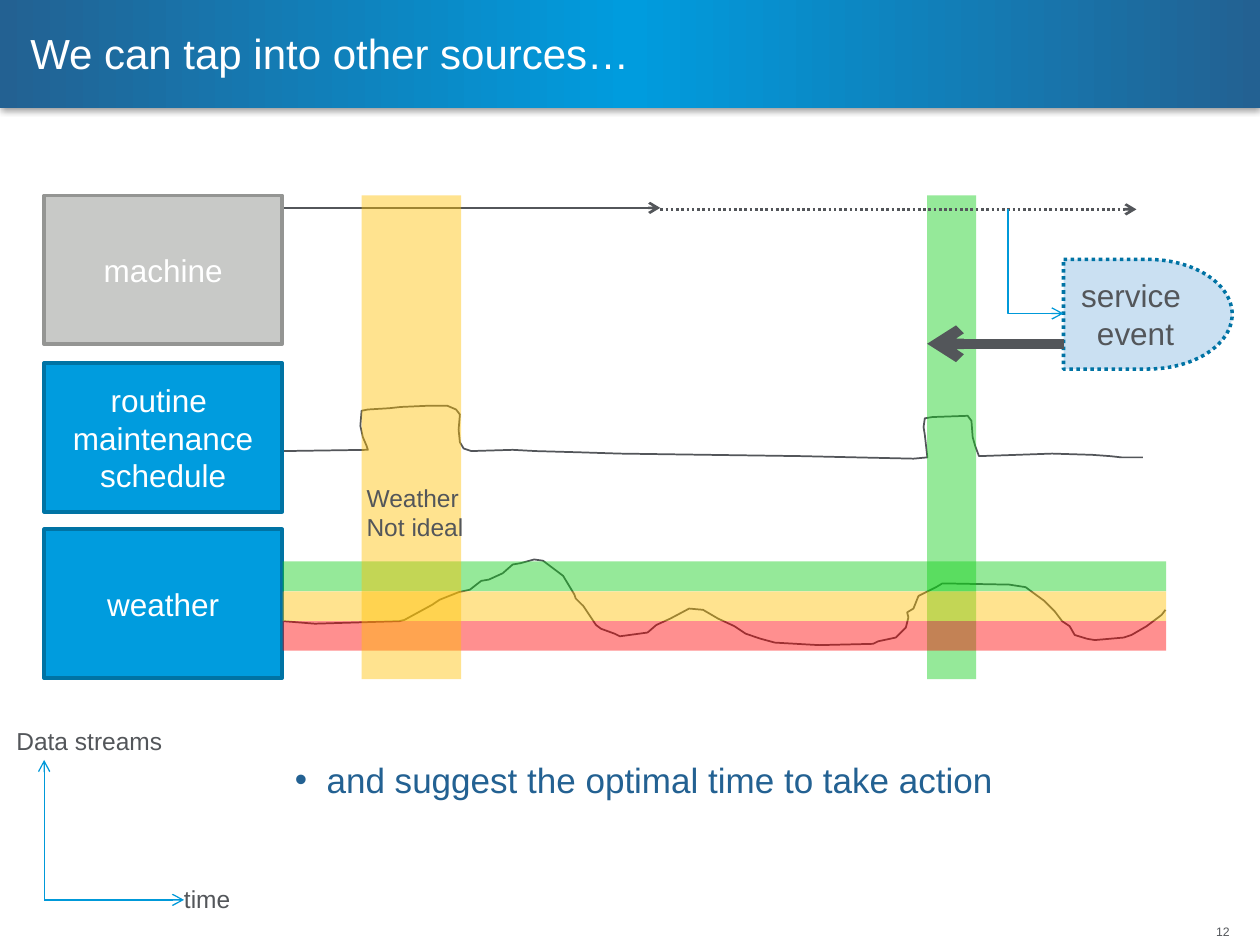
from copy import deepcopy
from dataclasses import dataclass

from lxml.etree import SubElement
from pptx import Presentation
from pptx.dml.color import RGBColor
from pptx.enum.dml import MSO_LINE
from pptx.enum.shapes import MSO_CONNECTOR, MSO_SHAPE
from pptx.enum.text import MSO_ANCHOR, MSO_AUTO_SIZE, PP_ALIGN
from pptx.oxml.ns import qn
from pptx.util import Cm, Pt


@dataclass(frozen=True)
class Theme:
    font: str = "Arial"
    white: str = "FFFFFF"
    ink: str = "53565A"
    navy: str = "236192"
    banner: str = "009CDE"
    blue: str = "009CDE"
    blue_edge: str = "0073A4"
    axis: str = "0099D9"
    grey: str = "C8C9C7"
    grey_edge: str = "949593"
    pale: str = "CAE0F2"
    good: str = "0FCF18"
    fair: str = "FFC000"
    bad: str = "FF0000"
    band_alpha: int = 44
    title_size: int = 24
    list_size: int = 20
    box_size: int = 18
    note_size: int = 14
    number_size: int = 7


T = Theme()
NO_INSETS = dict(margin_left=0, margin_right=0, margin_top=0, margin_bottom=0)

# Curve points on a grid of 1/100 inch
GRID = Cm(2.54) / 100
MAINTENANCE = [
    (225, 358), (292, 357), (291, 354), (288, 347), (286, 338), (287, 326),
    (292, 325), (309, 324), (318, 323), (340, 322), (355, 322), (362, 325),
    (365, 329), (364, 341), (365, 351), (368, 356), (374, 358), (407, 357),
    (425, 358), (460, 359), (492, 360), (636, 362), (725, 364), (736, 363),
    (734, 345), (733, 339), (734, 332), (740, 331), (768, 330), (771, 334),
    (772, 347), (774, 354), (777, 362), (807, 361), (835, 360), (867, 361),
    (881, 362), (890, 363), (907, 363),
]
WEATHER = [
    (225, 493), (250, 495), (317, 493), (321, 492), (343, 480), (349, 476),
    (364, 470), (373, 468), (382, 461), (388, 460), (399, 455), (407, 448),
    (413, 447), (424, 444), (431, 445), (447, 457), (456, 472), (457, 475),
    (463, 481), (473, 496), (477, 499), (488, 503), (492, 505), (514, 502),
    (521, 496), (532, 491), (547, 483), (558, 484), (570, 491), (583, 497),
    (592, 503), (604, 507), (615, 510), (650, 512), (693, 511), (697, 509),
    (711, 506), (719, 498), (721, 490), (720, 486), (725, 483), (729, 473),
    (743, 466), (748, 463), (801, 464), (814, 466), (829, 477), (837, 485),
    (843, 493), (849, 497), (853, 504), (863, 507), (869, 508), (892, 506),
    (898, 504), (910, 497), (922, 488), (925, 484),
]


def rgb(value):
    return RGBColor.from_string(value)


def set_all(obj, values):
    for name, value in values.items():
        setattr(obj, name, value)


def write(sp, lines, size, color, align=PP_ALIGN.LEFT, **frame):
    tf = sp.text_frame
    set_all(tf, dict(auto_size=MSO_AUTO_SIZE.NONE, word_wrap=True) | frame)
    tf.text = "\n".join(lines)
    for p in tf.paragraphs:
        p.alignment = align
        for r in p.runs:
            set_all(r.font, dict(name=T.font, size=Pt(size)))
            r.font.color.rgb = rgb(color)


def place(sp, left, top, width, height):
    set_all(sp, dict(left=Cm(left), top=Cm(top), width=Cm(width), height=Cm(height)))


def style_line(sp, color, width, dash=None):
    sp.line.color.rgb = rgb(color)
    sp.line.width = Pt(width)
    if dash:
        sp.line.dash_style = dash


def add_block(s, kind, box, fill, edge=None, dash=None):
    sp = s.shapes.add_shape(kind, *map(Cm, box))
    sp.shadow.inherit = False
    sp.fill.solid()
    sp.fill.fore_color.rgb = rgb(fill)
    if edge:
        style_line(sp, edge, 2, dash)
    else:
        sp.line.fill.background()
    return sp


def add_label_box(s, box, lines, fill, edge, color=T.white, kind=MSO_SHAPE.RECTANGLE, dash=None):
    sp = add_block(s, kind, box, fill, edge, dash)
    write(sp, lines, T.box_size, color, PP_ALIGN.CENTER, vertical_anchor=MSO_ANCHOR.MIDDLE)


def add_band(s, box, color):
    sp = add_block(s, MSO_SHAPE.RECTANGLE, box, color)
    clr = sp._element.spPr.find(".//" + qn("a:srgbClr"))
    SubElement(clr, qn("a:alpha"), val=str(T.band_alpha * 1000))


def add_note(s, box, lines, size=T.note_size, align=PP_ALIGN.LEFT, wrap=False):
    sp = s.shapes.add_textbox(*map(Cm, box))
    write(sp, lines, size, T.ink, align, word_wrap=wrap, **NO_INSETS)


def add_arrow(s, start, end, color, width, dash=None, kind=MSO_CONNECTOR.STRAIGHT):
    sp = s.shapes.add_connector(kind, *map(Cm, (*start, *end)))
    style_line(sp, color, width, dash)
    SubElement(sp.line._get_or_add_ln(), qn("a:tailEnd"), type="arrow")
    SubElement(sp._element.spPr, qn("a:effectLst"))
    return sp


def add_down_right_arrow(s, start, end, color, width):
    # A single bend is a mirrored frame turned by 270 degrees about its centre
    (x1, y1), (x2, y2) = start, end
    cx, cy, w, h = (x1 + x2) / 2, (y1 + y2) / 2, y2 - y1, x2 - x1
    sp = add_arrow(s, (cx - w / 2, cy - h / 2), (cx + w / 2, cy + h / 2),
                   color, width, kind=MSO_CONNECTOR.ELBOW)
    spPr = sp._element.spPr
    spPr.find(qn("a:prstGeom")).set("prst", "bentConnector2")
    for name, value in dict(rot="16200000", flipH="1").items():
        spPr.find(qn("a:xfrm")).set(name, value)


def add_curve(s, points):
    fb = s.shapes.build_freeform(*points[0], scale=GRID)
    fb.add_line_segments(points[1:], close=False)
    sp = fb.convert_to_shape()
    sp.shadow.inherit = False
    sp.fill.background()
    style_line(sp, T.ink, 1)


def add_banner(s):
    sp = add_block(s, MSO_SHAPE.RECTANGLE, (0, 0, 25.4, 2.18), T.navy)
    sp.fill.gradient()
    sp.fill.gradient_angle = 0
    gs = sp._element.spPr.find(".//" + qn("a:gs"))
    gs.addnext(deepcopy(gs))
    for stop, pos, color in zip(sp.fill.gradient_stops, (0, 0.5, 1), (T.navy, T.banner, T.navy)):
        stop.position = pos
        stop.color.rgb = rgb(color)
    shadow = SubElement(sp._element.spPr.find(qn("a:effectLst")), qn("a:outerShdw"),
                        blurRad=str(Pt(4)), dist=str(Pt(1)), dir="5400000", rotWithShape="0")
    clr = SubElement(shadow, qn("a:srgbClr"), val="000000")
    SubElement(clr, qn("a:alpha"), val="40000")
    s.shapes._spTree.insert(2, sp._element)  # behind the title


def fill_placeholders(s):
    title, body = s.shapes.title, s.placeholders[1]
    place(title, 0.61, 0.43, 21.13, 1.27)
    write(title, ["We can tap into other sources…"], T.title_size, T.white,
          vertical_anchor=MSO_ANCHOR.MIDDLE, **NO_INSETS)
    place(body, 5.69, 15.16, 19.08, 2.64)
    write(body, ["and suggest the optimal time to take action"], T.list_size, T.navy,
          vertical_anchor=MSO_ANCHOR.TOP)
    p = body.text_frame.paragraphs[0]
    p.space_before = Pt(18)
    pPr = p._p.get_or_add_pPr()
    pPr.set("marL", str(Cm(0.64)))
    pPr.set("indent", str(Cm(-0.64)))
    SubElement(SubElement(pPr, qn("a:buClr")), qn("a:srgbClr"), val=T.navy)
    SubElement(pPr, qn("a:buFont"), typeface=T.font)
    SubElement(pPr, qn("a:buChar"), char="•")


def main():
    prs = Presentation()
    prs.slide_width, prs.slide_height = Cm(25.4), Cm(19.05)
    s = prs.slides.add_slide(prs.slide_layouts[1])

    # Banner, title, list and slide number
    add_banner(s)
    fill_placeholders(s)
    add_note(s, (23.55, 18.64, 1.24, 0.3), ["12"], T.number_size, PP_ALIGN.RIGHT, True)

    # Axes
    origin = (0.89, 18.14)
    for tip in ((0.89, 15.32), (3.71, 18.14)):
        add_arrow(s, origin, tip, T.axis, 0.75)
    add_note(s, (3.71, 17.83, 0.94, 0.61), ["time"])
    add_note(s, (0.33, 14.63, 2.95, 0.61), ["Data streams"])

    # Data streams, with the machine box over the start of its arrow
    add_curve(s, MAINTENANCE)
    add_curve(s, WEATHER)
    add_band(s, (18.69, 3.94, 0.99, 9.75), T.good)
    add_arrow(s, (4.78, 4.19), (13.31, 4.19), T.ink, 1.5)
    for top, lines, fill, edge in (
        (3.94, ["machine"], T.grey, T.grey_edge),
        (7.32, ["routine ", "maintenance", "schedule"], T.blue, T.blue_edge),
        (10.67, ["weather"], T.blue, T.blue_edge),
    ):
        add_label_box(s, (0.89, top, 4.8, 3), lines, fill, edge)

    # Service event and its move to the better time
    add_arrow(s, (13.31, 4.22), (22.91, 4.22), T.ink, 1.5, MSO_LINE.ROUND_DOT)
    add_label_box(s, (21.44, 5.23, 3.4, 2.21), ["service ", "event"], T.pale, T.blue_edge,
                  T.ink, MSO_SHAPE.FLOWCHART_DELAY, MSO_LINE.ROUND_DOT)
    add_down_right_arrow(s, (20.32, 4.22), (21.44, 6.32), T.axis, 0.75)
    add_arrow(s, (21.44, 6.93), (18.69, 6.93), T.ink, 6)

    # Weather bands and the unsuitable period
    for i, color in enumerate((T.good, T.fair, T.bad)):
        add_band(s, (5.7, 11.32 + 0.6 * i, 17.81, 0.6), color)
    add_band(s, (7.29, 3.94, 2.01, 9.75), T.fair)
    add_note(s, (7.39, 9.73, 1.96, 1.19), ["Weather", "Not ideal"])

    prs.save("out.pptx")


if __name__ == "__main__":
    main()
